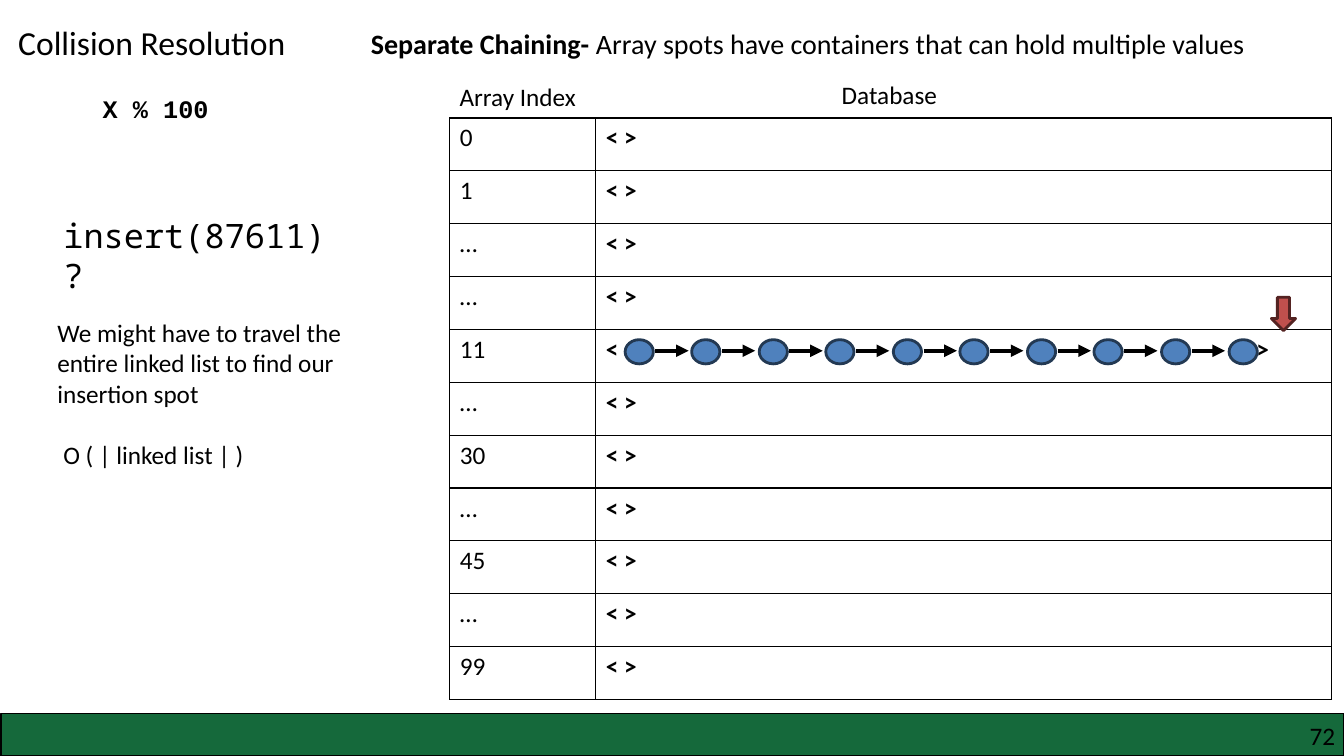
from dataclasses import dataclass

from lxml import etree
from pptx import Presentation
from pptx import util as u
from pptx.dml.color import RGBColor
from pptx.enum import shapes, text
from pptx.oxml import ns


@dataclass(frozen=True)
class Theme:
    ink: str = "000000"
    paper: str = "FFFFFF"
    footer: str = "15693B"
    node: str = "4F81BD"
    node_edge: str = "233953"
    marker: str = "C0504D"
    marker_edge: str = "542322"
    title: int = 24
    heading: int = 20
    body: int = 18
    sans: str = "Calibri"
    courier: str = "Courier New"
    mono: str = "Noto Sans Mono"


theme = Theme()
PX = 9144


def px(*lengths):
    return [u.Emu(length * PX) for length in lengths]


def write(frame, words, size=theme.body, font=theme.sans, bold=False,
          align=text.PP_ALIGN.LEFT, new=False):
    para = frame.add_paragraph() if new else frame.paragraphs[-1]
    para.alignment = align
    span = para.add_run()
    span.text = words
    span.font.size = u.Pt(size)
    span.font.name = font
    span.font.bold = bold
    span.font.color.rgb = RGBColor.from_string(theme.ink)
    return para


deck = Presentation()
deck.slide_width, deck.slide_height = px(1333, 750)
page = deck.slides.add_slide(deck.slide_layouts[5])

title = page.shapes.title
title.left, title.top, title.width, title.height = px(8, 17, 316, 50)
title.text_frame.auto_size = text.MSO_AUTO_SIZE.NONE
title.text_frame.vertical_anchor = text.MSO_ANCHOR.TOP
write(title.text_frame, "Collision Resolution", size=theme.title)

index_rows = ["0", "1", "…", "…", "11", "…", "30", "…", "45", "…", "99"]
table = page.shapes.add_table(len(index_rows), 2, *px(446, 117, 875, 577)).table
table.first_row = table.horz_banding = False
table.columns[0].width, table.columns[1].width = px(145, 730)
for row, index in enumerate(index_rows):
    contents = "<\t>" if index == "11" else "< >"
    for column, words in enumerate((index, contents)):
        cell = table.cell(row, column)
        para = write(cell.text_frame, words, bold=column == 1)
        if "\t" in words:
            tabs = etree.SubElement(para._p.get_or_add_pPr(), ns.qn("a:tabLst"))
            etree.SubElement(tabs, ns.qn("a:tab"), pos=str(645 * PX), algn="l")
        properties = cell._tc.get_or_add_tcPr()
        for side in ("a:lnL", "a:lnR", "a:lnT", "a:lnB"):
            border = etree.SubElement(properties, ns.qn(side), w=str(u.Pt(1)))
            paint = etree.SubElement(border, ns.qn("a:solidFill"))
            etree.SubElement(paint, ns.qn("a:srgbClr"), val=theme.ink)
        cell.fill.solid()
        cell.fill.fore_color.rgb = RGBColor.from_string(theme.paper)

node_lefts = [620 + 599 * step // 9 for step in range(10)]
preset = shapes.MSO_SHAPE
solids = [(preset.RECTANGLE, (1, 708, 1332, 42), theme.footer, theme.ink, 1)]
solids += [(preset.OVAL, (left, 337, 28, 24), theme.node, theme.node_edge, 2)
           for left in node_lefts]
solids += [(preset.DOWN_ARROW, (1261, 295, 24, 33), theme.marker, theme.marker_edge, 2)]
for kind, place, fill, edge, weight in solids:
    solid = page.shapes.add_shape(kind, *px(*place))
    solid.shadow.inherit = False
    solid.fill.solid()
    solid.fill.fore_color.rgb = RGBColor.from_string(fill)
    solid.line.color.rgb = RGBColor.from_string(edge)
    solid.line.width = u.Pt(weight)

for left in node_lefts[:-1]:
    link = page.shapes.add_connector(
        shapes.MSO_CONNECTOR.STRAIGHT, *px(left + 30, 348, left + 63, 348))
    link.line.color.rgb = RGBColor.from_string(theme.ink)
    link.line.width = u.Pt(3)
    etree.SubElement(link.line._get_or_add_ln(), ns.qn("a:tailEnd"), type="triangle")
    etree.SubElement(link._element.spPr, ns.qn("a:effectLst"))

labels = [
    ((358, 21, 970, 44), "Separate Chaining- ", dict(size=theme.heading, bold=True)),
    ((446, 76, 149, 40), "Array Index", {}),
    ((825, 74, 128, 40), "Database", {}),
    ((92, 88, 140, 40), "X % 100", dict(font=theme.courier, bold=True)),
    ((53, 208, 299, 90), "insert(87611) ?", dict(size=theme.title, font=theme.mono)),
    ((47, 310, 331, 162),
     "We might have to travel the entire linked list to find our insertion spot", {}),
    ((1017, 710, 317, 40), "72", dict(align=text.PP_ALIGN.RIGHT)),
]
frames = {}
for place, words, style in labels:
    box = page.shapes.add_textbox(*px(*place))
    box.text_frame.word_wrap = True
    write(box.text_frame, words, **style)
    frames[words] = box.text_frame

write(frames["Separate Chaining- "],
      "Array spots have containers that can hold multiple values", size=theme.heading)
cost = write(frames[labels[5][1]], "O ( | linked list | )", new=True)
cost.space_before = u.Pt(22)
cost._p.get_or_add_pPr().set("marL", str(6 * PX))

deck.save("out.pptx")
